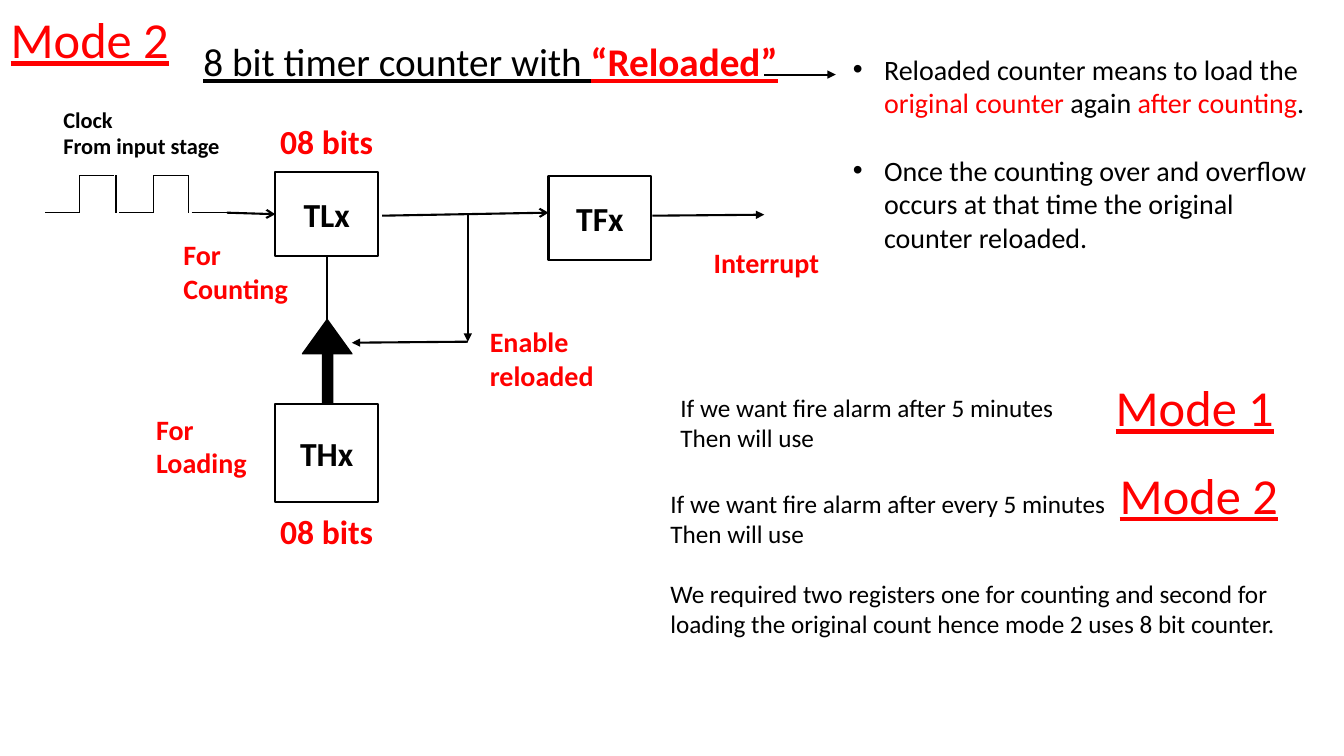
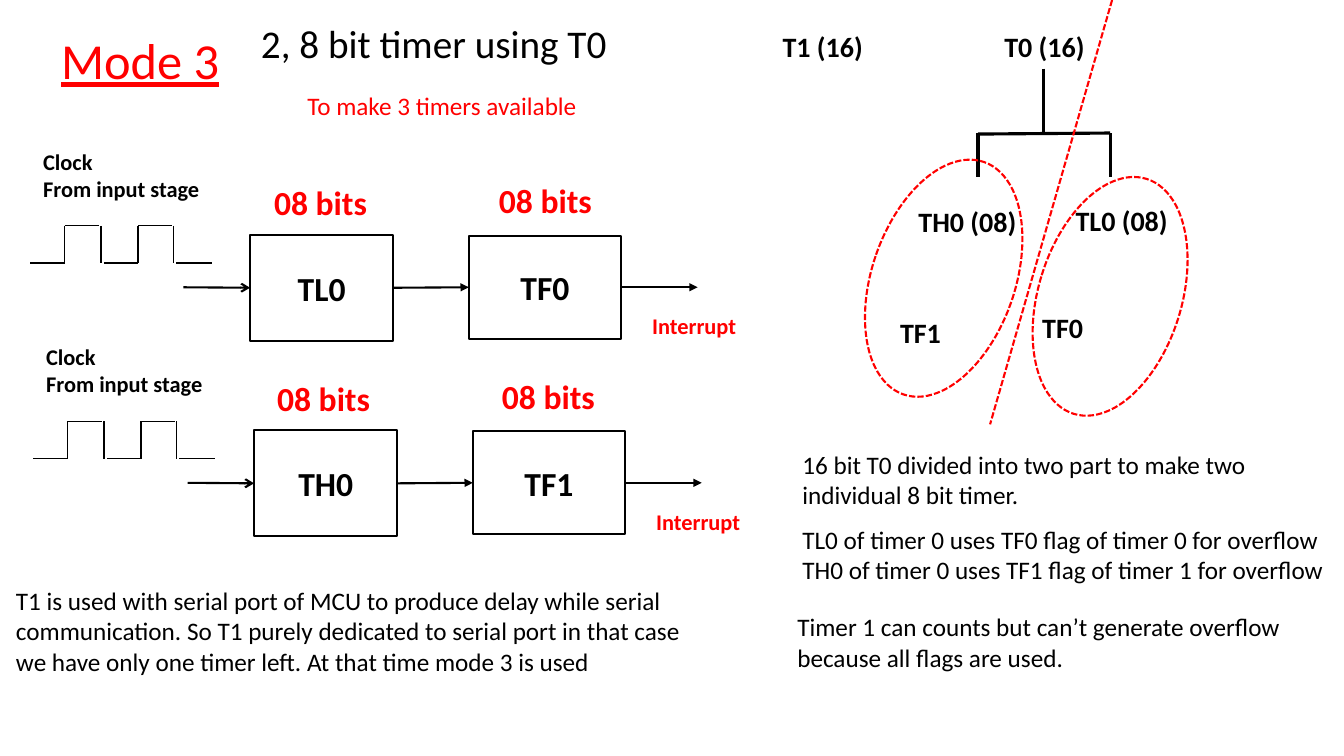
"""Builds two slides on timer modes 2 and 3 with block diagrams."""
from lxml import etree
from pptx import Presentation
from pptx.dml.color import RGBColor
from pptx.enum.dml import MSO_LINE
from pptx.enum.shapes import MSO_CONNECTOR, MSO_SHAPE
from pptx.enum.text import MSO_ANCHOR, PP_ALIGN
from pptx.oxml.ns import qn
from pptx.util import Pt

PX = 9144
FONT = "Calibri"
BLACK = RGBColor(0x00, 0x00, 0x00)
RED = RGBColor(0xFF, 0x00, 0x00)
LEFT, CENTER = PP_ALIGN.LEFT, PP_ALIGN.CENTER
MIDDLE = MSO_ANCHOR.MIDDLE
DASH = MSO_LINE.SQUARE_DOT
STRAIGHT = MSO_CONNECTOR.STRAIGHT
RECT, OVAL = MSO_SHAPE.RECTANGLE, MSO_SHAPE.OVAL
UP_ARROW, TRIANGLE = MSO_SHAPE.UP_ARROW, MSO_SHAPE.ISOSCELES_TRIANGLE
TOP, LEFT_SIDE, BOTTOM, RIGHT_SIDE = range(4)


def text(s, at, paragraphs, size, color=BLACK, bold=False, underline=False,
         align=LEFT, wrap=True, boxed=False):
    """Add a text box, or an outlined rectangle, and return it."""
    place = [v * PX for v in at]
    if boxed:
        sp = s.shapes.add_shape(RECT, *place)
        sp.shadow.inherit = False
        sp.fill.background()
        sp.line.color.rgb = BLACK
        sp.line.width = Pt(1.5)
        sp.text_frame.vertical_anchor = MIDDLE
    else:
        sp = s.shapes.add_textbox(*place)
    tf = sp.text_frame
    tf.word_wrap = wrap
    for i, runs in enumerate(paragraphs):
        p = tf.add_paragraph() if i else tf.paragraphs[0]
        p.alignment = align
        p.font.name = FONT
        p.font.size = Pt(size)
        p.font.bold = bold
        p.font.underline = underline
        p.font.color.rgb = color
        for part in [(runs, None)] if isinstance(runs, str) else runs:
            r = p.add_run()
            r.text = part[0]
            if part[1] is not None:
                r.font.color.rgb = part[1]
    return sp


def line(s, x1, y1, x2, y2, width=1.5, color=BLACK, head=None, begin=None, end=None):
    """Add a straight connector, with an optional arrowhead and joined ends."""
    c = s.shapes.add_connector(STRAIGHT, x1 * PX, y1 * PX, x2 * PX, y2 * PX)
    if begin:
        c.begin_connect(*begin)
    if end:
        c.end_connect(*end)
    c.line.color.rgb = color
    c.line.width = Pt(width)
    etree.SubElement(c._element.spPr, qn("a:effectLst"))
    if head:
        etree.SubElement(c.line._get_or_add_ln(), qn("a:tailEnd"), type=head)
    return c


prs = Presentation()
prs.slide_width, prs.slide_height = 1333 * PX, 750 * PX
mode2, mode3 = [prs.slides.add_slide(prs.slide_layouts[6]) for _ in range(2)]

for s, x, y, label in [(mode2, 0, 3, "Mode 2"), (mode2, 1096, 368, "Mode 1"),
                       (mode2, 1100, 455, "Mode 2"), (mode3, 50, 24, "Mode 3")]:
    text(s, (x, y, 178, 71), [label], 36, RED, underline=True, align=CENTER, wrap=False)

title2 = text(mode2, (192, 6, 594, 115),
              [[("8 bit timer counter with ", BLACK), ("“Reloaded”", RED)]],
              28, underline=True)
title2.text_frame.paragraphs[0].runs[1].font.bold = True
title3 = text(mode3, (249, 10, 388, 71), ["2, 8 bit timer using T0"], 28)
for sp in (title2, title3):
    sp.text_frame.vertical_anchor = MIDDLE
    sp.text_frame.paragraphs[0].line_spacing = 0.9

WAVE = [(0, 37, 34, 37), (34, 0, 34, 37), (34, 0, 68, 0), (70, 0, 70, 37),
        (73, 37, 107, 37), (107, 0, 107, 37), (107, 0, 141, 0), (142, 0, 142, 37),
        (145, 37, 180, 37)]
for s, x, y, label_x, label_y in [(mode2, 45, 174, 53, 100), (mode3, 30, 224, 33, 142),
                                  (mode3, 33, 418, 36, 336)]:
    text(s, (label_x, label_y, 207, 64), ["Clock", "From input stage"], 16, bold=True)
    for x1, y1, x2, y2 in WAVE:
        line(s, x + x1, y + y1, x + x2, y + y2, 1)

for s, x, y in [(mode2, 261, 115), (mode2, 261, 502), (mode3, 255, 176),
                (mode3, 478, 174), (mode3, 258, 370), (mode3, 481, 368)]:
    text(s, (x, y, 126, 50), ["08 bits"], 24, RED, bold=True, align=CENTER)

tlx, tfx, thx = [
    text(mode2, at, [label], 24, bold=True, align=CENTER, boxed=True)
    for at, label in [((273, 171, 102, 83), "TLx"), ((544, 175, 102, 83), "TFx"),
                      ((273, 401, 102, 97), "THx")]]
for shape, at in [(UP_ARROW, (315, 340, 20, 61)), (TRIANGLE, (300, 317, 49, 34))]:
    sp = mode2.shapes.add_shape(shape, *[v * PX for v in at])
    sp.shadow.inherit = False
    sp.fill.solid()
    sp.fill.fore_color.rgb = BLACK
    sp.line.color.rgb = BLACK
    sp.line.width = Pt(1)
line(mode2, 225, 211, 273, 213, head="arrow", end=(tlx, LEFT_SIDE))
line(mode2, 379, 214, 544, 211, head="arrow")
line(mode2, 647, 214, 758, 213, head="triangle")
line(mode2, 464, 213, 464, 339, head="triangle")
line(mode2, 464, 339, 349, 340, head="triangle")
line(mode2, 324, 254, 324, 351, begin=(tlx, BOTTOM))
line(mode2, 758, 74, 829, 74, head="triangle")
for x, y, label in [(698, 239, ["Interrupt"]), (476, 317, ["Enable reloaded"]),
                    (172, 231, ["For", "Counting"]), (145, 404, ["For", "Loading"])]:
    text(mode2, (x, y, 154, 44 if len(label) == 1 else 77), label, 20, RED, bold=True)

BULLETS = [
    [("Reloaded counter means to load the ", BLACK), ("original counter ", RED),
     ("again ", BLACK), ("after counting", RED), (".", BLACK)],
    "Once the counting over and overflow occurs at that time the original counter reloaded.",
]
sp = text(mode2, (836, 47, 483, 212), BULLETS, 20)
for p in sp.text_frame.paragraphs:
    pPr = p._p.get_or_add_pPr()
    pPr.set("marL", str(31 * PX))
    pPr.set("indent", str(-31 * PX))
    bullet = etree.Element(qn("a:buChar"), char="•")
    pPr.find(qn("a:defRPr")).addprevious(bullet)
    bullet.addprevious(etree.Element(qn("a:buFont"), typeface="Arial"))
sp.text_frame.paragraphs[1].space_before = Pt(24)

for at, paragraphs in [
    ((665, 384, 395, 71), ["If we want fire alarm after 5 minutes", "Then will use"]),
    ((655, 479, 458, 71), ["If we want fire alarm after every 5 minutes", "Then will use"]),
    ((655, 569, 626, 101), ["We required two registers one for counting and second for",
                            "loading the original count hence mode 2 uses 8 bit counter."]),
]:
    text(mode2, at, paragraphs, 18, wrap=False)

for dx, dy, counter, flag in [(0, 0, "TL0", "TF0"), (4, 194, "TH0", "TF1")]:
    counter_box = text(mode3, (248 + dx, 233 + dy, 142, 105), [counter], 24,
                       bold=True, align=CENTER, boxed=True)
    flag_box = text(mode3, (465 + dx, 234 + dy, 151, 102), [flag], 24,
                    bold=True, align=CENTER, boxed=True)
    y = 285 + dy
    line(mode3, 182 + dx, y, 248 + dx, y, head="arrow", end=(counter_box, LEFT_SIDE))
    line(mode3, 390 + dx, y, 465 + dx, y, head="triangle",
         begin=(counter_box, RIGHT_SIDE), end=(flag_box, LEFT_SIDE))
    line(mode3, 616 + dx, y, 692 + dx, y, head="triangle", begin=(flag_box, RIGHT_SIDE))
    text(mode3, (637 + dx, 305 + dy, 111, 37), ["Interrupt"], 16, RED, bold=True)

text(mode3, (295, 85, 296, 40), ["To make 3 timers available"], 18, RED, wrap=False)

for x, y, w, label in [(761, 24, 110, "T1 (16)"), (981, 24, 110, "T0 (16)"),
                       (894, 198, 131, "TH0 (08)"), (1047, 197, 131, "TL0 (08)"),
                       (858, 308, 110, "TF1"), (999, 303, 110, "TF0")]:
    text(mode3, (x, y, w, 44), [label], 20, bold=True, align=CENTER)
for ends in [(1035, 68, 1035, 132), (1101, 132, 970, 133),
             (970, 132, 970, 176), (1101, 132, 1101, 176)]:
    line(mode3, *ends, width=2.25)
line(mode3, 1103, 0, 982, 421, color=RED).line.dash_style = DASH
for x, y, angle in [(865, 154, 19.1), (1030, 172, 17.2)]:
    sp = mode3.shapes.add_shape(OVAL, x * PX, y * PX, 142 * PX, 244 * PX)
    sp.rotation = angle
    sp.shadow.inherit = False
    sp.fill.background()
    sp.line.color.rgb = RED
    sp.line.width = Pt(1.5)
    sp.line.dash_style = DASH

for at, paragraphs in [
    ((786, 441, 536, 71),
     ["16 bit T0 divided into two part to make two individual 8 bit timer."]),
    ((786, 515, 547, 71), ["TL0 of timer 0 uses TF0 flag of timer 0 for overflow",
                           "TH0 of timer 0 uses TF1 flag of timer 1 for overflow"]),
    ((781, 602, 547, 71),
     ["Timer 1 can counts but can’t generate overflow because all flags are used."]),
    ((6, 576, 699, 101),
     ["T1 is used with serial port of MCU to produce delay while serial communication. "
      "So T1 purely dedicated to serial port in that case we have only one timer left. "
      "At that time mode 3 is used"]),
]:
    text(mode3, at, paragraphs, 18)

prs.save("out.pptx")
